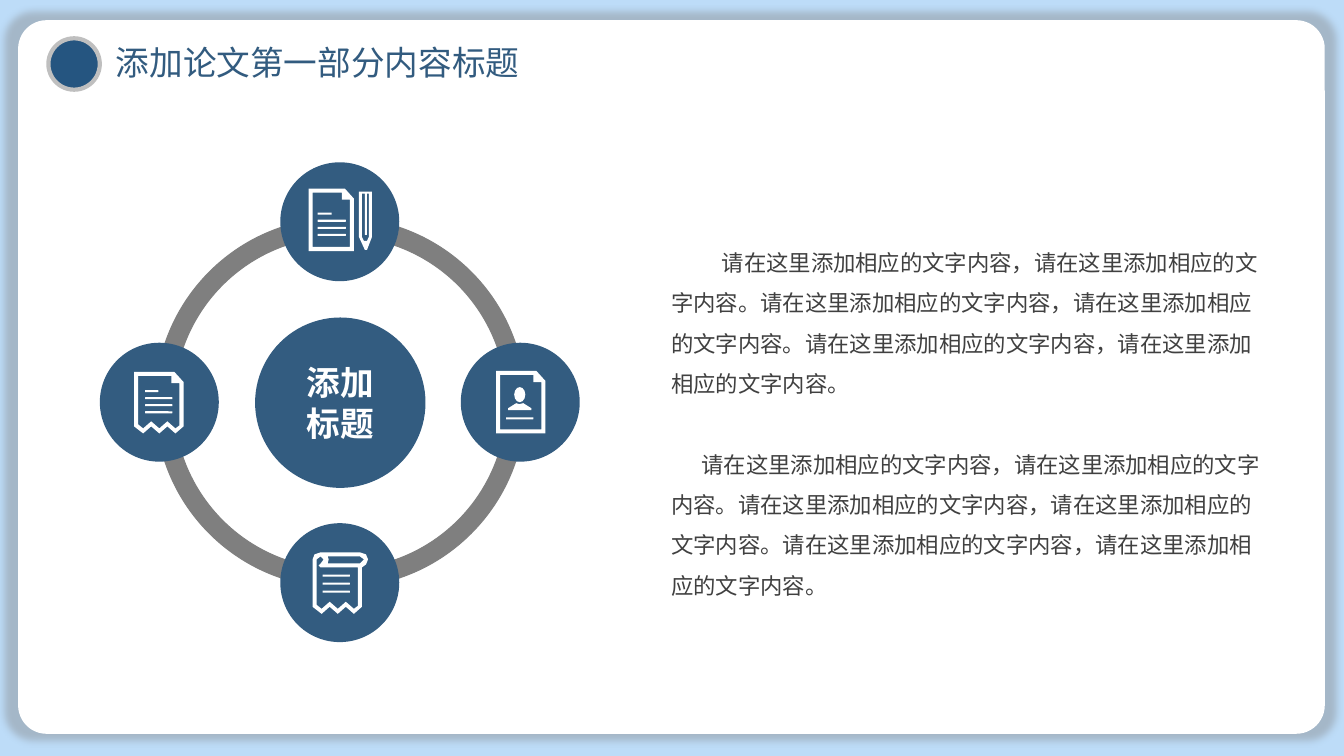
from dataclasses import dataclass

from lxml.etree import SubElement
from pptx import Presentation
from pptx.dml.color import RGBColor
from pptx.enum.shapes import MSO_SHAPE
from pptx.enum.text import MSO_ANCHOR, PP_ALIGN
from pptx.oxml.ns import qn
from pptx.util import Pt

PX = 9144
SENTENCE = "请在这里添加相应的文字内容，请在这里添加相应的文字内容。"
TORN_OUTER = [(49, 0), (41, 7), (33, 0), (25, 7), (17, 0), (9, 7), (0, 0)]
TORN_INNER = [(45, -1), (41, 2), (33, -5), (25, 2), (17, -5), (9, 2), (4, -2)]


@dataclass(frozen=True)
class Theme:
    """Colours, fonts and type sizes of the slide."""
    sky: str = "BDDCF8"
    white: str = "FFFFFF"
    navy: str = "335C80"
    bullet: str = "255580"
    title: str = "325B7F"
    silver: str = "BFBFBF"
    ring: str = "7F7F7F"
    shadow: str = "808080"
    body: str = "404040"
    title_font: str = "Noto Sans CJK JP"
    body_font: str = "Noto Sans CJK SC"
    hub_font: str = "Arial"
    heading_size: int = 24
    body_size: int = 16
    leading: float = 1.2


THEME = Theme()


def px(*lengths):
    """Turn lengths in px into EMU."""
    return [length * PX for length in lengths]


def paint(shape, fill, line=None, width=0.75):
    """Give a shape a flat fill and an optional outline."""
    shape.shadow.inherit = False
    shape.fill.solid()
    shape.fill.fore_color.rgb = RGBColor.from_string(fill)
    if line:
        shape.line.color.rgb = RGBColor.from_string(line)
        shape.line.width = Pt(width)
    else:
        shape.line.fill.background()
    return shape


def add_preset(shapes, kind, box, fill, line=None, width=0.75):
    """Add a painted preset shape at box, given in px."""
    return paint(shapes.add_shape(kind, *px(*box)), fill, line, width)


def add_disc(shapes, center_x, center_y, diameter, fill=THEME.navy):
    """Add a circle around a centre."""
    radius = diameter // 2
    box = (center_x - radius, center_y - radius, diameter, diameter)
    return add_preset(shapes, MSO_SHAPE.OVAL, box, fill)


def add_outline(shapes, *contours):
    """Add one white freeform whose later contours are holes."""
    builder = shapes.build_freeform(*contours[0][0], scale=PX)
    builder.add_line_segments(contours[0][1:], close=True)
    for hole in contours[1:]:
        builder.move_to(*hole[0])
        builder.add_line_segments(hole[1:], close=True)
    paint(builder.convert_to_shape(), THEME.white)


def add_rules(shapes, left, top, pitch, widths):
    """Add evenly spaced text strokes of an icon."""
    for index, width in enumerate(widths):
        box = (left, top + index * pitch, width, 2)
        add_preset(shapes, MSO_SHAPE.ROUNDED_RECTANGLE, box, THEME.white)


def shift(points, left, top):
    """Move points by an offset."""
    return [(left + x, top + y) for x, y in points]


def add_page(shapes, left, top, width, outer_bottom, inner_bottom):
    """Add a page with a folded corner above the given bottom edges."""
    right = left + width
    outer = [(left, top), (right - 9, top), (right, top + 10)]
    inner = [(left + 4, top + 4), (right - 12, top + 4),
             (right - 12, top + 11), (right - 4, top + 11)]
    add_outline(shapes, outer + outer_bottom, inner + inner_bottom)


def add_flat_page(shapes, left, top, width):
    """Add a page with a straight bottom."""
    add_page(shapes, left, top, width,
             shift([(width, 62), (0, 62)], left, top),
             shift([(width - 4, 58), (4, 58)], left, top))


def add_writing_icon(shapes):
    """Add the page with a pencil."""
    add_rules(shapes, 315, 211, 7, (14, 28, 28, 28))
    add_flat_page(shapes, 306, 187, 45)
    add_outline(
        shapes,
        [(356, 190), (369, 190), (369, 235), (364, 248), (362, 248), (356, 235)],
        [(359, 192), (362, 192), (362, 233), (364, 233), (364, 192),
         (366, 192), (366, 235), (364, 239), (361, 239), (359, 235)])


def add_receipt_icon(shapes):
    """Add the page with a torn bottom."""
    add_rules(shapes, 144, 387, 7, (13, 27, 27, 27))
    add_page(shapes, 133, 369, 49,
             shift(TORN_OUTER, 133, 423), shift(TORN_INNER, 133, 423))


def add_profile_icon(shapes):
    """Add the page with a person."""
    add_preset(shapes, MSO_SHAPE.OVAL, (510, 384, 11, 15), THEME.white)
    add_outline(shapes, [(504, 407), (504, 405), (512, 400), (515, 401),
                         (519, 400), (527, 405), (527, 407)])
    add_rules(shapes, 502, 414, 7, (27,))
    add_flat_page(shapes, 492, 368, 49)


def add_scroll_icon(shapes):
    """Add the scroll with a torn bottom."""
    add_rules(shapes, 320, 570, 8, (27, 27, 27))
    add_outline(
        shapes,
        [(310, 555), (312, 550), (318, 548), (357, 548), (363, 550), (365, 555),
         (363, 560), (359, 563)] + shift(TORN_OUTER, 310, 602),
        [(314, 555), (318, 552), (321, 555), (318, 559), (316, 561), (318, 563),
         (355, 563)] + shift(TORN_INNER, 310, 602),
        [(325, 559), (326, 555), (325, 552), (357, 552), (361, 555), (357, 559)])


def format_text(paragraph, font_name, size, color, bold=False):
    """Format every run of a paragraph for Latin and East Asian text."""
    for run in paragraph.runs:
        font = run.font
        font.name, font.size, font.bold = font_name, Pt(size), bold
        font.color.rgb = RGBColor.from_string(color)
        SubElement(run._r.get_or_add_rPr(), qn("a:ea"), typeface=font_name)


def add_panel(slide):
    """Add the white panel with its soft halo behind the title."""
    panel = add_preset(slide.shapes, MSO_SHAPE.ROUNDED_RECTANGLE,
                       (18, 20, 1296, 708), THEME.white)
    panel.adjustments[0] = 0.04
    effects = panel.element.spPr.find(qn("a:effectLst"))
    halo = SubElement(effects, qn("a:outerShdw"), blurRad="63500", sx="102000",
                      sy="102000", algn="ctr", rotWithShape="0")
    color = SubElement(halo, qn("a:srgbClr"), val=THEME.shadow)
    SubElement(color, qn("a:alpha"), val="40000")
    slide.shapes.title.element.addprevious(panel.element)


def add_title(slide, text):
    """Place the title and its round bullet."""
    add_preset(slide.shapes, MSO_SHAPE.OVAL, (48, 38, 51, 51),
               THEME.bullet, THEME.silver, 3)
    title = slide.shapes.title
    title.left, title.top, title.width, title.height = px(102, 35, 445, 54)
    frame = title.text_frame
    frame.text = text
    frame.vertical_anchor = MSO_ANCHOR.MIDDLE
    frame.margin_left, frame.margin_top, frame.margin_right, frame.margin_bottom = px(13, 7, 13, 7)
    paragraph = frame.paragraphs[0]
    paragraph.alignment = PP_ALIGN.LEFT
    paragraph.line_spacing = 1.0
    format_text(paragraph, THEME.title_font, THEME.heading_size, THEME.title)


def add_hub(slide, text):
    """Add the labelled disc in the middle of the ring."""
    hub = add_disc(slide.shapes, 337, 399, 169)
    hub.text_frame.text = text
    hub.text_frame.vertical_anchor = MSO_ANCHOR.MIDDLE
    for paragraph in hub.text_frame.paragraphs:
        paragraph.alignment = PP_ALIGN.CENTER
        paragraph.line_spacing = Pt(THEME.heading_size * THEME.leading)
        format_text(paragraph, THEME.hub_font, THEME.heading_size, THEME.white, True)


def add_ring(slide):
    """Add the ring with its four icon discs as one group."""
    shapes = slide.shapes.add_group_shape().shapes
    ring = add_preset(shapes, MSO_SHAPE.DONUT, (154, 216, 367, 367),
                      THEME.ring, THEME.ring)
    ring.adjustments[0] = 0.05
    for across, down, add_icon in ((0, 1, add_scroll_icon), (-1, 0, add_receipt_icon),
                                   (0, -1, add_writing_icon), (1, 0, add_profile_icon)):
        add_disc(shapes, 337 + across * 179, 399 + down * 179, 118)
        add_icon(shapes)


def add_body(slide, text, indents):
    """Add the body text, one paragraph for each first-line indent."""
    frame = slide.shapes.add_textbox(*px(656, 229, 611, 369)).text_frame
    frame.word_wrap = True
    frame.text = "\n".join(text for _ in indents)
    leading = Pt(THEME.body_size * THEME.leading * 1.5)
    for index, (paragraph, indent) in enumerate(zip(frame.paragraphs, indents)):
        paragraph._p.get_or_add_pPr().set("indent", str(indent * PX))
        paragraph.line_spacing = leading
        paragraph.space_before = leading if index else Pt(0)
        format_text(paragraph, THEME.body_font, THEME.body_size, THEME.body)


def main():
    """Build and save the slide."""
    presentation = Presentation()
    presentation.slide_width, presentation.slide_height = px(1333, 750)
    slide = presentation.slides.add_slide(presentation.slide_layouts[5])
    slide.background.fill.solid()
    slide.background.fill.fore_color.rgb = RGBColor.from_string(THEME.sky)
    add_panel(slide)
    add_title(slide, "添加论文第一部分内容标题")
    add_hub(slide, "添加\n标题")
    add_ring(slide)
    add_body(slide, SENTENCE * 3, (50, 30))
    presentation.save("out.pptx")


if __name__ == "__main__":
    main()
